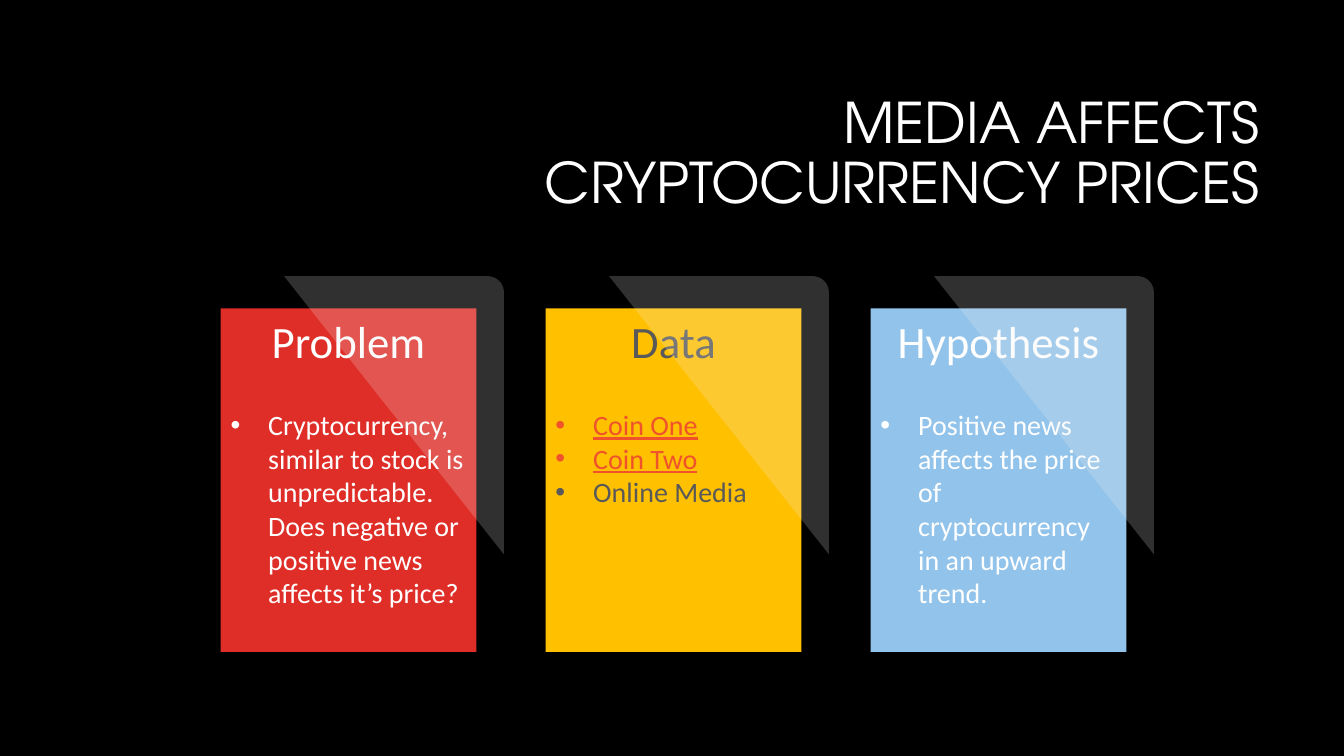
from math import cos, pi, sin

from lxml.etree import SubElement
from pptx import Presentation
from pptx.dml.color import RGBColor
from pptx.enum.shapes import MSO_SHAPE
from pptx.enum.text import MSO_ANCHOR, PP_ALIGN
from pptx.oxml.ns import qn
from pptx.util import Cm, Pt

COLORS = {
    "black": "000000", "white": "FFFFFF", "grey": "595959", "link": "F0532B",
    "red": "DF2E28", "yellow": "FFC000", "blue": "92C3EA", "glare": "F2F2F2",
}

# Heading, fill, heading colour, bullets as (text, colour, underlined)
CARDS = [
    ("Problem", "red", "white", [
        ("Cryptocurrency, similar to stock is unpredictable. "
         "Does negative or positive news affects it’s price?", "white", False)]),
    ("Data", "yellow", "grey", [
        ("Coin One", "link", True),
        ("Coin Two", "link", True),
        ("Online Media", "grey", False)]),
    ("Hypothesis", "blue", "white", [
        ("Positive news affects the price of cryptocurrency "
         "in an upward trend.", "white", False)]),
]
CARD_LEFT, CARD_TOP, CARD_STEP = 5.56, 7.77, 8.19


class Deck:
    """Holds the style and the current slide."""
    title_font = "TeX Gyre Adventor"
    body_font = "Calibri"

    def __init__(self, prs):
        self.s = prs.slides.add_slide(prs.slide_layouts[5])
        self.paint(self.s.background.fill, "black")

    def paint(self, fill, color):
        fill.solid()
        fill.fore_color.rgb = RGBColor.from_string(COLORS[color])

    def run(self, p, text, size, color, font=None, underline=False):
        r = p.add_run()
        r.text = text
        r.font.size = Pt(size)
        r.font.name = font or self.body_font
        r.font.underline = underline
        r.font.color.rgb = RGBColor.from_string(COLORS[color])

    def title(self, text, x, y, w, h):
        sp = self.s.shapes.title
        sp.left, sp.top, sp.width, sp.height = Cm(x), Cm(y), Cm(w), Cm(h)
        tf = sp.text_frame
        tf.word_wrap = True
        tf.vertical_anchor = MSO_ANCHOR.MIDDLE
        p = tf.paragraphs[0]
        p.alignment = PP_ALIGN.RIGHT
        p.line_spacing = 0.9
        self.run(p, text, 40, "white", self.title_font)

    def bullet(self, tf, text, color, underline):
        p = tf.add_paragraph()
        p.alignment = PP_ALIGN.LEFT
        pPr = p._p.get_or_add_pPr()
        pPr.set("marL", str(Cm(0.95)))
        pPr.set("indent", str(-Cm(0.95)))
        SubElement(pPr, qn("a:buFont"), typeface="Arial")
        SubElement(pPr, qn("a:buChar"), char="•")
        self.run(p, text, 20, color, underline=underline)
        return p

    def card(self, x, y, w, h, heading, fill, color, bullets):
        sp = self.s.shapes.add_shape(MSO_SHAPE.RECTANGLE, Cm(x), Cm(y), Cm(w), Cm(h))
        sp.shadow.inherit = False
        self.paint(sp.fill, fill)
        sp.line.fill.background()
        tf = sp.text_frame
        tf.word_wrap = True
        tf.vertical_anchor = MSO_ANCHOR.TOP
        p = tf.paragraphs[0]
        p.alignment = PP_ALIGN.CENTER
        self.run(p, heading, 32, color)
        items = [self.bullet(tf, *b) for b in bullets]
        items[0].space_before = Pt(29)

    def glare(self, x, y, w, h, radius, steps=12):
        """Translucent triangle with a rounded top right corner."""
        angles = [pi / 2 * i / steps for i in range(steps + 1)]
        corner = [(x + w - radius + radius * sin(a), y + radius - radius * cos(a))
                  for a in angles]
        fb = self.s.shapes.build_freeform(Cm(x), Cm(y))
        fb.add_line_segments([(Cm(px), Cm(py)) for px, py in corner + [(x + w, y + h)]])
        sp = fb.convert_to_shape()
        sp.shadow.inherit = False
        self.paint(sp.fill, "glare")
        sp.line.fill.background()
        clr = sp._element.spPr.find(qn("a:solidFill")).find(qn("a:srgbClr"))
        SubElement(clr, qn("a:alpha"), val="20000")


def main():
    prs = Presentation()
    prs.slide_width, prs.slide_height = Cm(33.87), Cm(19.05)
    deck = Deck(prs)

    # Title
    deck.title("MEDIA AFFECTS CRYPTOCURRENCY PRICES", 8.05, 2.13, 23.93, 3.58)

    # Cards, each with its glare on top
    for i, content in enumerate(CARDS):
        x = CARD_LEFT + i * CARD_STEP
        deck.card(x, CARD_TOP, 6.45, 8.66, *content)
        deck.glare(x + 1.6, CARD_TOP - 0.81, 5.54, 7.01, 0.41)

    prs.save("out.pptx")


if __name__ == "__main__":
    main()
